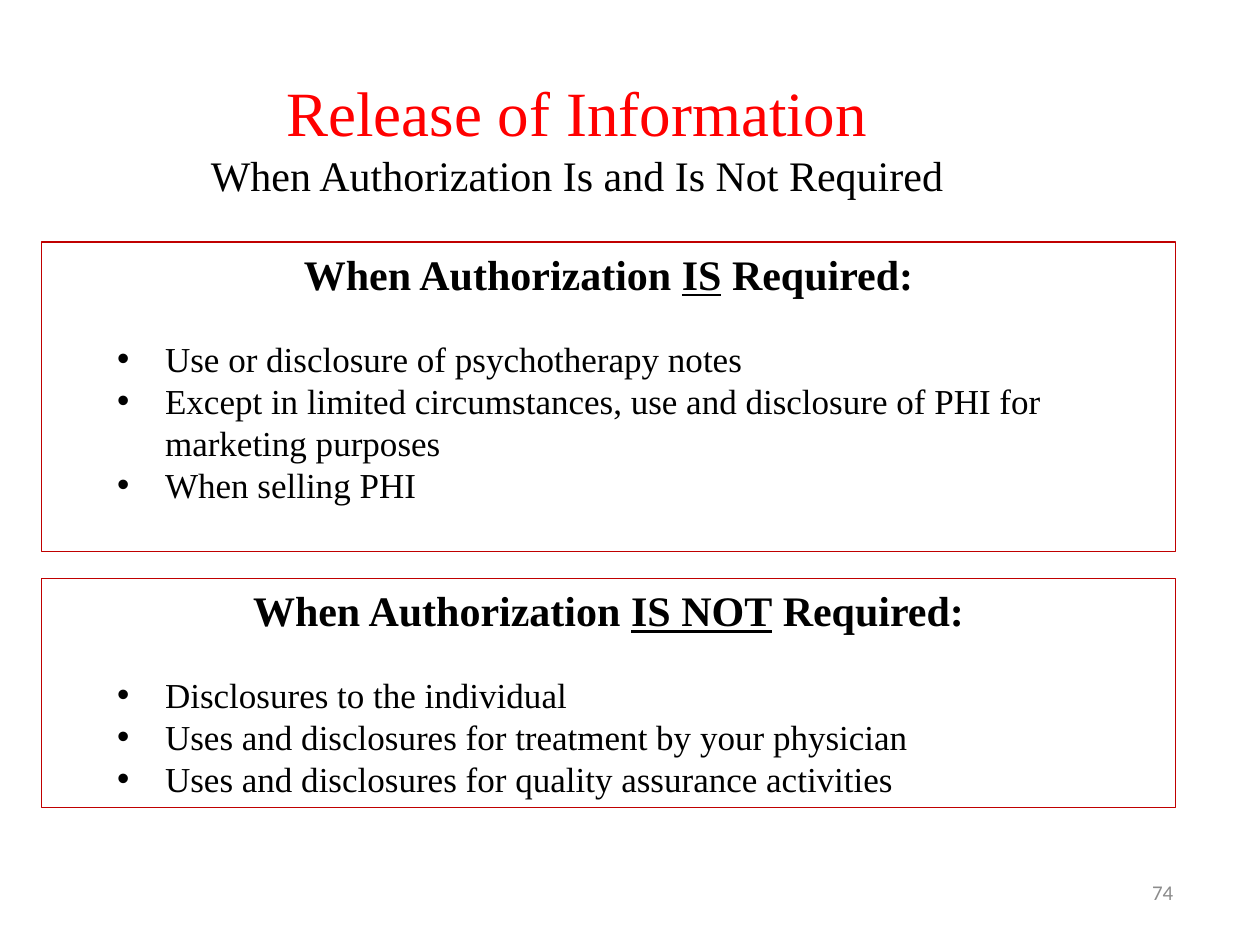
from dataclasses import dataclass

from lxml.etree import SubElement
from pptx import Presentation
from pptx.dml.color import RGBColor
from pptx.enum.text import MSO_ANCHOR as Anchor, MSO_AUTO_SIZE as AutoSize, PP_ALIGN as Align
from pptx.oxml.ns import qn
from pptx.util import Inches, Pt

SERIF = "Times New Roman"
BLACK = "000000"
RED = "FF0000"
DARK_RED = "C00000"
GRAY = "8C8C8C"


@dataclass(frozen=True)
class Panel:
    top: float
    height: float
    emphasis: str
    items: tuple[str, ...]


PANELS = (
    Panel(1.92, 2.46, "IS", (
        "Use or disclosure of psychotherapy notes",
        "Except in limited circumstances, use and disclosure of PHI for marketing purposes",
        "When selling PHI",
    )),
    Panel(4.59, 1.82, "IS NOT", (
        "Disclosures to the individual",
        "Uses and disclosures for treatment by your physician",
        "Uses and disclosures for quality assurance activities",
    )),
)


def apply_format(target, values: dict) -> None:
    for name, value in values.items():
        setattr(target, name, value)


def set_color(color_format, color: str) -> None:
    color_format.rgb = RGBColor.from_string(color)


def place(shape, left: float, top: float, width: float, height: float) -> None:
    apply_format(shape, {
        "left": Inches(left), "top": Inches(top),
        "width": Inches(width), "height": Inches(height),
    })


def add_run(paragraph, text: str, size: float, color: str = BLACK,
            name: str = SERIF, **styles) -> None:
    run = paragraph.add_run()
    run.text = text
    apply_format(run.font, {"name": name, "size": Pt(size), **styles})
    set_color(run.font.color, color)


def set_bullet(paragraph, left: float, indent: float, character: str = "") -> None:
    properties = paragraph._p.get_or_add_pPr()
    properties.set("marL", str(Inches(left)))
    properties.set("indent", str(Inches(indent)))
    if character:
        SubElement(properties, qn("a:buChar")).set("char", character)
    else:
        SubElement(properties, qn("a:buNone"))


def fill_title(shape) -> None:
    place(shape, 1.08, 0.42, 7, 1.33)
    frame = shape.text_frame
    apply_format(frame, {"auto_size": AutoSize.NONE, "vertical_anchor": Anchor.MIDDLE})
    paragraph = frame.paragraphs[0]
    paragraph.alignment = Align.CENTER
    add_run(paragraph, "Release of Information", 36, RED)
    paragraph.add_line_break()
    add_run(paragraph, "When Authorization Is and Is Not Required", 24)


def fill_panel(shape, panel: Panel) -> None:
    place(shape, 0.33, panel.top, 9, panel.height)
    shape.line.width = Pt(0.75)
    set_color(shape.line.color, DARK_RED)
    frame = shape.text_frame
    apply_format(frame, {"auto_size": AutoSize.NONE, "vertical_anchor": Anchor.TOP})

    heading = frame.paragraphs[0]
    set_bullet(heading, 0, 0)
    apply_format(heading, {"alignment": Align.CENTER, "space_before": Pt(0)})
    add_run(heading, "When Authorization ", 24, bold=True)
    add_run(heading, panel.emphasis, 24, bold=True, underline=True)
    add_run(heading, " Required:", 24, bold=True)

    for index, item in enumerate(panel.items):
        paragraph = frame.add_paragraph()
        set_bullet(paragraph, 0.88, -0.38, "•")
        apply_format(paragraph, {"level": 1, "space_before": Pt(0 if index else 22)})
        add_run(paragraph, item, 20)


def add_slide_number(slide, number: str) -> None:
    box = slide.shapes.add_textbox(0, 0, 0, 0)
    place(box, 7.33, 6.83, 2.08, 0.5)
    frame = box.text_frame
    apply_format(frame, {"word_wrap": True, "vertical_anchor": Anchor.MIDDLE})
    paragraph = frame.paragraphs[0]
    paragraph.alignment = Align.RIGHT
    add_run(paragraph, number, 12, GRAY, "Calibri")


def main() -> None:
    presentation = Presentation()
    apply_format(presentation, {"slide_width": Inches(10), "slide_height": Inches(7.5)})
    slide = presentation.slides.add_slide(presentation.slide_layouts.get_by_name("Two Content"))
    title, *bodies = slide.placeholders
    fill_title(title)
    for body, panel in zip(bodies, PANELS):
        fill_panel(body, panel)
    add_slide_number(slide, "74")
    presentation.save("out.pptx")


if __name__ == "__main__":
    main()
